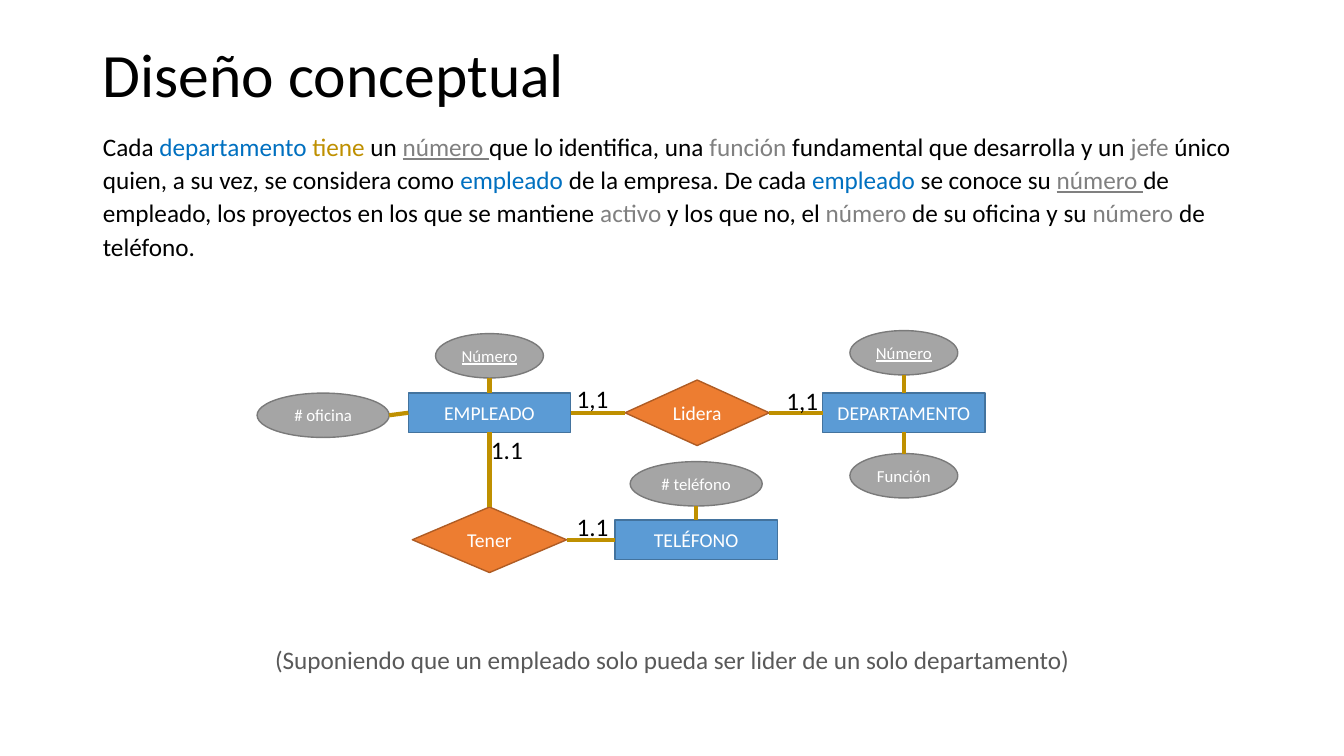
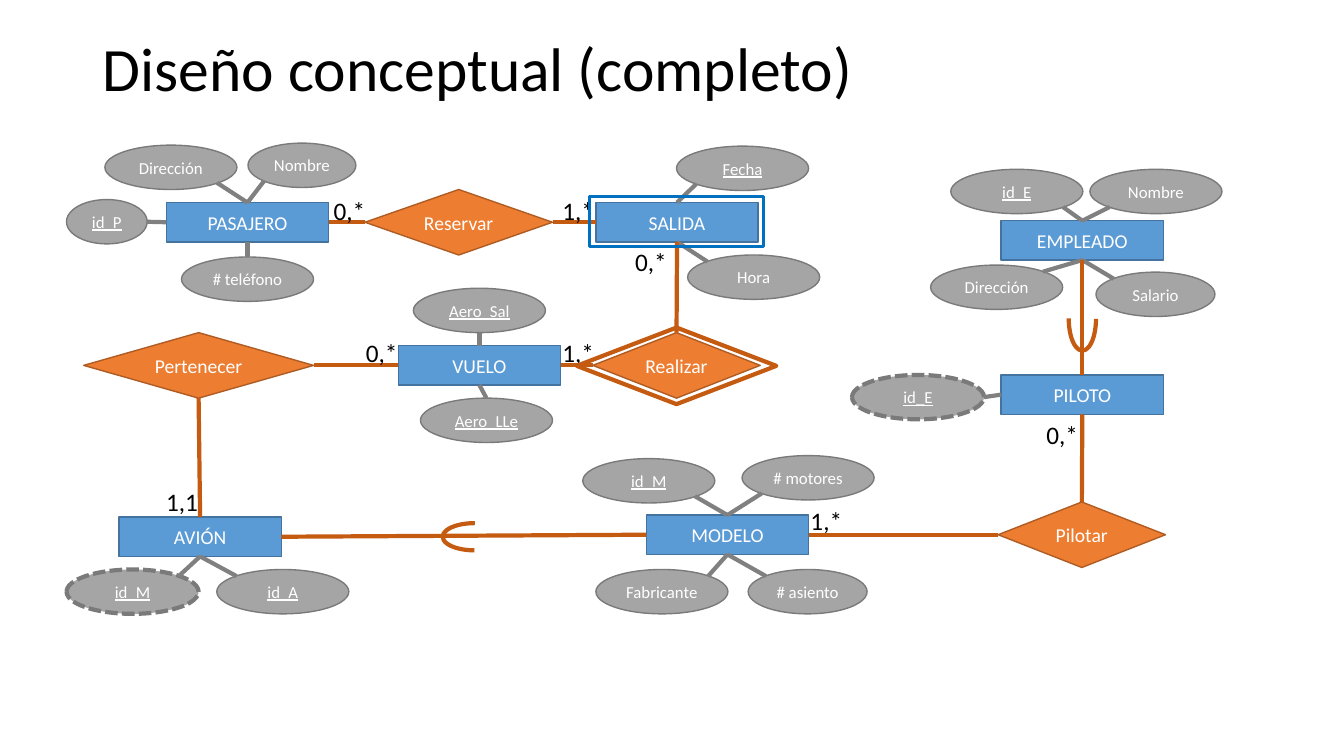
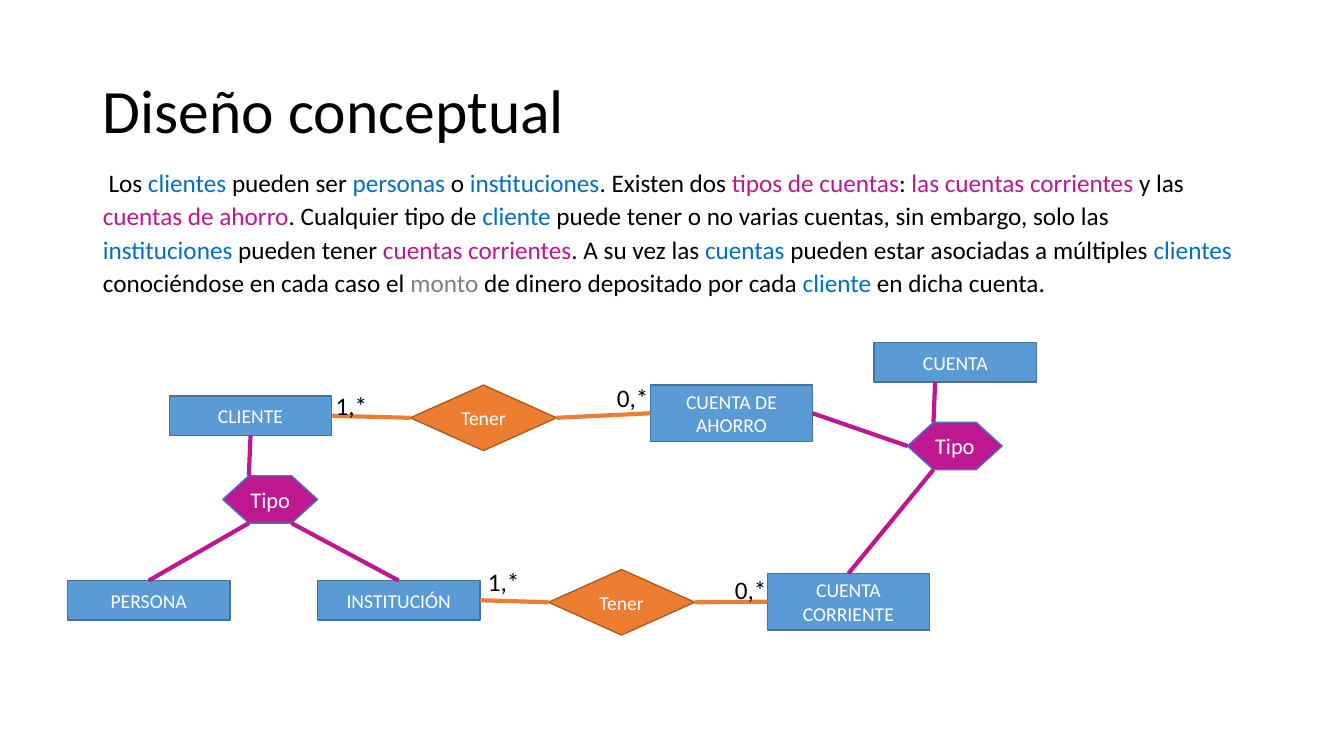
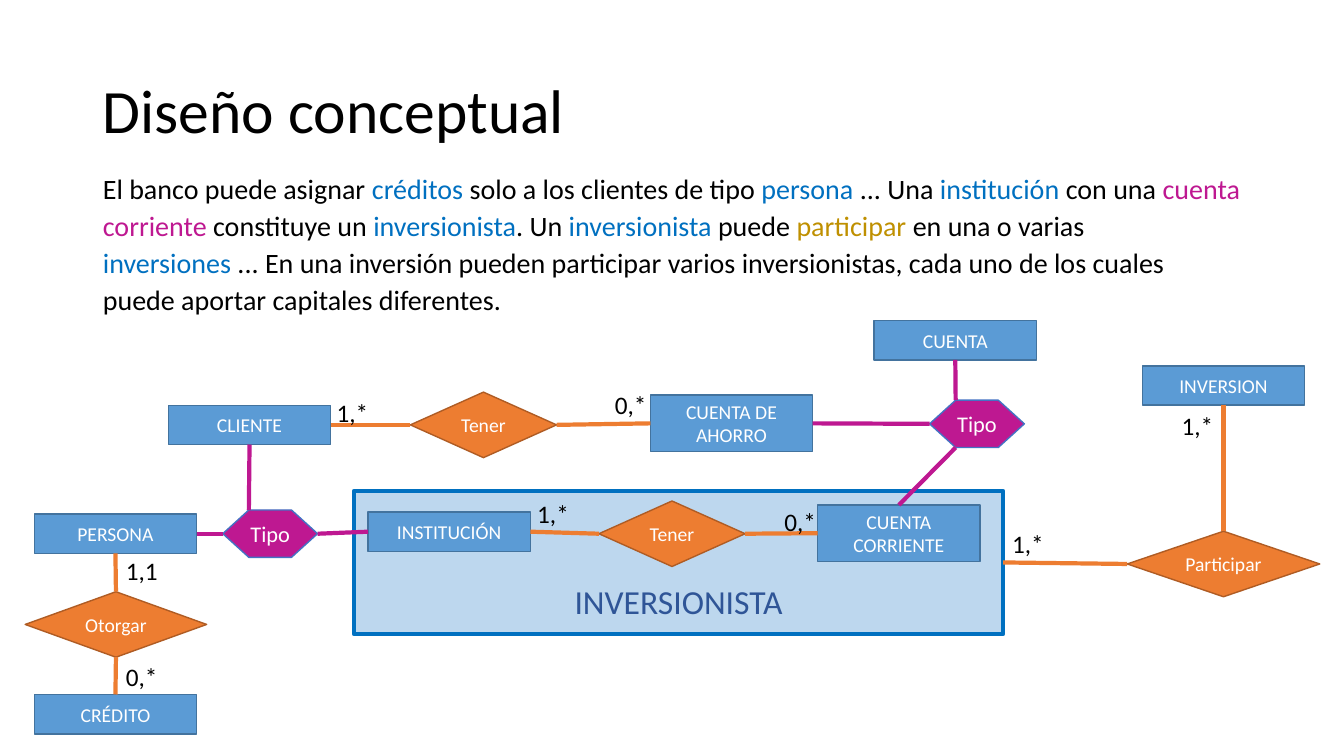
import dataclasses

import lxml.etree
import pptx
import pptx.dml.color
import pptx.enum.dml
import pptx.enum.shapes
import pptx.enum.text
import pptx.oxml.ns
import pptx.util

Inches = pptx.util.Inches
Pt = pptx.util.Pt
SHAPE = pptx.enum.shapes.MSO_SHAPE
ALIGN = pptx.enum.text.PP_ALIGN
SIZING = pptx.enum.text.MSO_AUTO_SIZE


@dataclasses.dataclass(frozen=True)
class Theme:
    font: str = "Calibri"
    ink: str = "000000"
    paper: str = "FFFFFF"
    caption: str = "595959"
    gray: str = "808080"
    gold: str = "BF9000"
    rust: str = "C55A11"
    orange: str = "ED7D31"
    orange_edge: str = "AF5C24"
    blue: str = "5B9BD5"
    blue_edge: str = "43739E"
    strong_blue: str = "0070C0"
    pale_blue: str = "BDD7EE"
    navy: str = "2F5597"
    silver: str = "A5A5A5"
    silver_edge: str = "7A7A7A"
    magenta: str = "BE1891"
    magenta_edge: str = "4472C4"
    title_size: int = 44
    group_size: int = 24
    large_size: int = 20
    body_size: int = 18
    kind_size: int = 16
    node_size: int = 14
    attribute_size: int = 12
    thin: float = 1
    medium: float = 2.25
    thick: float = 3


@dataclasses.dataclass(frozen=True)
class Box:
    left: float
    top: float
    width: float
    height: float

    def emu(self):
        return [Inches(value) for value in dataclasses.astuple(self)]


THEME = Theme()
ROLES = {
    "entity": {"color": THEME.strong_blue},
    "verb": {"color": THEME.gold},
    "attribute": {"color": THEME.gray},
    "key": {"color": THEME.gray, "underline": True},
    "type": {"color": THEME.magenta},
}
SIDES = {"top": (0.5, 0), "left": (0, 0.5), "bottom": (0.5, 1), "right": (1, 0.5)}
ENTITY_WIDTH = 1.61
ENTITY_HEIGHT = 0.39
TALL_HEIGHT = 0.56
RELATION_HEIGHT = 0.65
ATTRIBUTE_HEIGHT = 0.44
HEXAGON_CUT = 0.55
ELLIPSE_INSET = 0.15


def rgb(code):
    return pptx.dml.color.RGBColor.from_string(code)


def add_span(para, text, size, color, underline=None):
    span = para.add_run()
    span.text = text
    span.font.name = THEME.font
    span.font.size = Pt(size)
    span.font.color.rgb = rgb(color)
    span.font.underline = underline


def write(frame, text, size=THEME.body_size, color=THEME.ink, underline=None,
          align=ALIGN.LEFT, line_spacing=None, space_before=None):
    para = frame.paragraphs[0]
    para.alignment = align
    para.line_spacing = line_spacing
    para.space_before = None if space_before is None else Pt(space_before)
    for piece in text.split("{"):
        marked, closing, plain = piece.rpartition("}")
        if closing:
            role, words = marked.split("|")
            add_span(para, words, size, **ROLES[role])
        if plain:
            add_span(para, plain, size, color, underline)
    return para


def place(placeholder, box):
    placeholder.left, placeholder.top, placeholder.width, placeholder.height = box.emu()
    placeholder.text_frame.auto_size = SIZING.NONE
    placeholder.text_frame.word_wrap = True
    return placeholder.text_frame


def add_title(page, text, box):
    frame = place(page.shapes.title, box)
    frame.vertical_anchor = pptx.enum.text.MSO_ANCHOR.MIDDLE
    write(frame, text, size=THEME.title_size, line_spacing=0.9)


def add_body(page, text, box, size=THEME.body_size):
    frame = place(page.placeholders[1], box)
    para = write(frame, text, size=size, line_spacing=1.1, space_before=10)
    settings = para._p.get_or_add_pPr()
    settings.set("marL", "0")
    settings.set("indent", "0")
    lxml.etree.SubElement(settings, pptx.oxml.ns.qn("a:buNone"))


def anchor(shape, side):
    if side in SIDES:
        across, down = SIDES[side]
    else:
        vertical, horizontal = side.split("_")
        if shape.auto_shape_type == SHAPE.HEXAGON:
            inset_x, inset_y = HEXAGON_CUT * shape.height / shape.width, 0
        else:
            inset_x = inset_y = ELLIPSE_INSET
        across = inset_x if horizontal == "left" else 1 - inset_x
        down = inset_y if vertical == "top" else 1 - inset_y
    return int(shape.left + across * shape.width), int(shape.top + down * shape.height)


def can_join(shape, side):
    return side in SIDES and shape.auto_shape_type in (SHAPE.RECTANGLE, SHAPE.DIAMOND)


class Diagram:
    def __init__(self, page, box, relation_color, attribute_color=THEME.gray):
        self.page = page
        self.box = box
        self.relation_color = relation_color
        self.attribute_color = attribute_color

    def area(self, left, top, width, height):
        return Box(self.box.left + left, self.box.top + top, width, height).emu()

    def shape(self, preset, left, top, width, height, edge, fill=None, weight=THEME.thin):
        shape = self.page.shapes.add_shape(preset, *self.area(left, top, width, height))
        shape.shadow.inherit = False
        if fill:
            shape.fill.solid()
            shape.fill.fore_color.rgb = rgb(fill)
        else:
            shape.fill.background()
        shape.line.color.rgb = rgb(edge)
        shape.line.width = Pt(weight)
        return shape

    def node(self, preset, text, area, fill, edge, wrap=False, size=THEME.node_size,
             underline=None):
        shape = self.shape(preset, *area, edge, fill)
        shape.text_frame.word_wrap = wrap
        shape.text_frame.vertical_anchor = pptx.enum.text.MSO_ANCHOR.MIDDLE
        write(shape.text_frame, text, size=size, color=THEME.paper, underline=underline,
              align=ALIGN.CENTER)
        return shape

    def entity(self, text, left, top, height=ENTITY_HEIGHT):
        return self.node(SHAPE.RECTANGLE, text, (left, top, ENTITY_WIDTH, height),
                         THEME.blue, THEME.blue_edge, wrap=True)

    def relation(self, text, left, top, width=1.45):
        return self.node(SHAPE.DIAMOND, text, (left, top, width, RELATION_HEIGHT),
                         THEME.orange, THEME.orange_edge)

    def kind(self, left, top):
        shape = self.node(SHAPE.HEXAGON, "Tipo", (left, top, 0.94, 0.47),
                          THEME.magenta, THEME.magenta_edge, size=THEME.kind_size)
        shape.adjustments[0] = HEXAGON_CUT
        return shape

    def attribute(self, owner, text, left, top, owner_side, side, width=1.31,
                  key=False, dashed=False):
        shape = self.node(SHAPE.OVAL, text, (left, top, width, ATTRIBUTE_HEIGHT),
                          THEME.silver, THEME.silver_edge, size=THEME.attribute_size,
                          underline=key or None)
        if dashed:
            shape.line.width = Pt(THEME.thick)
            shape.line.dash_style = pptx.enum.dml.MSO_LINE.SQUARE_DOT
        self.link(owner, owner_side, shape, side, color=self.attribute_color)

    def link(self, start, start_side, end, end_side, color=None, shift=0):
        start_x, start_y = anchor(start, start_side)
        line = self.page.shapes.add_connector(
            pptx.enum.shapes.MSO_CONNECTOR.STRAIGHT,
            start_x + Inches(shift), start_y, *anchor(end, end_side))
        order = list(SIDES)
        if can_join(start, start_side) and not shift:
            line.begin_connect(start, order.index(start_side))
        if can_join(end, end_side):
            line.end_connect(end, order.index(end_side))
        line.line.color.rgb = rgb(color or self.relation_color)
        line.line.width = Pt(THEME.thick)
        lxml.etree.SubElement(line._element.spPr, pptx.oxml.ns.qn("a:effectLst"))

    def arc(self, left, top, rotation):
        shape = self.shape(SHAPE.ARC, left, top, 0.63, 0.27, self.relation_color,
                           weight=THEME.thick)
        shape.adjustments[0] = 162
        shape.adjustments[1] = 55.25
        shape.rotation = rotation

    def label(self, text, left, top, width=0.51, height=0.4, **style):
        label = self.page.shapes.add_textbox(*self.area(left, top, width, height))
        label.text_frame.word_wrap = False
        label.text_frame.margin_right = Inches(0.05)
        label.text_frame.auto_size = SIZING.SHAPE_TO_FIT_TEXT
        write(label.text_frame, text, **style)

    def labels(self, *entries):
        for entry in entries:
            self.label(*entry)


def draw_company(page, box):
    diagram = Diagram(page, box, THEME.gold, THEME.gold)
    department = diagram.entity("DEPARTAMENTO", 6.16, 0.9)
    employee = diagram.entity("EMPLEADO", 2.05, 0.9)
    phone = diagram.entity("TELÉFONO", 4.1, 2.16)
    leads = diagram.relation("Lidera", 4.2, 0.77, 1.43)
    has = diagram.relation("Tener", 2.09, 2.03, 1.53)
    diagram.attribute(department, "Número", 6.43, 0.28, "top", "bottom", 1.07, key=True)
    diagram.attribute(department, "Función", 6.43, 1.5, "bottom", "top", 1.07)
    diagram.attribute(employee, "Número", 2.32, 0.31, "top", "bottom", 1.07, key=True)
    diagram.attribute(employee, "# oficina", 0.55, 0.9, "left", "right")
    diagram.attribute(phone, "# teléfono", 4.25, 1.58, "top", "bottom")
    diagram.link(employee, "right", leads, "left")
    diagram.link(leads, "right", department, "left")
    diagram.link(employee, "bottom", has, "top")
    diagram.link(has, "right", phone, "left")
    diagram.labels(("1,1", 3.62, 0.75), ("1,1", 5.7, 0.77),
                   ("1.1", 2.77, 1.26), ("1.1", 3.62, 2.02))
    diagram.label("(Suponiendo que un empleado solo pueda ser lider de un solo departamento)",
                  0.13, 3.34, 9.03, color=THEME.caption, align=ALIGN.CENTER)


def draw_airline(page, box):
    diagram = Diagram(page, box, THEME.rust)
    flight = diagram.entity("VUELO", 3.95, 2.43)
    passenger = diagram.entity("PASAJERO", 1.65, 1.01)
    departure = diagram.entity("SALIDA", 5.91, 1.01)
    model = diagram.entity("MODELO", 6.41, 4.11)
    employee = diagram.entity("EMPLEADO", 9.93, 1.19)
    pilot = diagram.entity("PILOTO", 9.93, 2.72)
    plane = diagram.entity("AVIÓN", 1.18, 4.13)

    diagram.attribute(flight, "Aero_Sal", 4.1, 1.86, "top", "bottom", key=True)
    diagram.attribute(flight, "Aero_LLe", 4.17, 2.95, "bottom", "top", key=True)
    diagram.attribute(passenger, "Nombre", 2.46, 0.42, "top", "bottom_left", 1.07)
    diagram.attribute(passenger, "Dirección", 1.04, 0.44, "top", "bottom_right")
    diagram.attribute(passenger, "# teléfono", 1.8, 1.55, "bottom", "top")
    diagram.attribute(passenger, "id_P", 0.66, 0.98, "left", "right", 0.8, key=True)
    diagram.attribute(departure, "Fecha", 6.71, 0.45, "top", "bottom_left", key=True)
    diagram.attribute(departure, "Hora", 6.82, 1.53, "bottom", "top_left")
    diagram.attribute(model, "id_M", 5.78, 3.55, "top", "bottom_right", key=True)
    diagram.attribute(model, "# motores", 7.36, 3.52, "top", "bottom_left")
    diagram.attribute(model, "Fabricante", 5.91, 4.65, "bottom", "top_right")
    diagram.attribute(model, "# asiento", 7.42, 4.65, "bottom", "top_left", 1.18)
    diagram.attribute(employee, "id_E", 9.43, 0.68, "top", "bottom_right", key=True)
    diagram.attribute(employee, "Nombre", 10.81, 0.68, "top", "bottom_left")
    diagram.attribute(employee, "Dirección", 9.23, 1.63, "bottom", "top_right")
    diagram.attribute(employee, "Salario", 10.87, 1.7, "bottom", "top_left", 1.18)
    diagram.attribute(pilot, "id_E", 8.45, 2.72, "left", "right", key=True, dashed=True)
    diagram.attribute(plane, "id_A", 2.15, 4.65, "bottom", "top_left", key=True)
    diagram.attribute(plane, "id_M", 0.66, 4.65, "bottom", "top_right", key=True, dashed=True)

    books = diagram.relation("Reservar", 3.62, 0.88, 1.86)
    performs = diagram.relation("Realizar", 5.88, 2.3, 1.66)
    flies = diagram.relation("Pilotar", 9.9, 3.98, 1.66)
    belongs = diagram.relation("Pertenecer", 0.83, 2.3, 2.28)
    for start, start_side, end, end_side in (
        (books, "left", passenger, "right"),
        (books, "right", departure, "left"),
        (departure, "bottom", performs, "top"),
        (performs, "left", flight, "right"),
        (employee, "bottom", pilot, "top"),
        (pilot, "bottom", flies, "top"),
        (model, "right", flies, "left"),
        (model, "left", plane, "right"),
        (plane, "top", belongs, "bottom"),
        (flight, "left", belongs, "right"),
    ):
        diagram.link(start, start_side, end, end_side)
    diagram.arc(10.42, 2.03, 90)
    diagram.arc(4.39, 4.19, 180)
    diagram.labels(("0,*", 3.21, 0.89), ("1,*", 5.48, 0.89), ("0,*", 6.2, 1.39),
                   ("1,*", 5.48, 2.3), ("0,*", 3.53, 2.3), ("1,1", 1.55, 3.78),
                   ("1,*", 7.94, 3.96), ("0,*", 10.28, 3.11))
    diagram.shape(SHAPE.RECTANGLE, 5.85, 0.95, 1.72, 0.5, THEME.strong_blue,
                  weight=THEME.medium)
    diagram.shape(SHAPE.DIAMOND, 5.72, 2.25, 1.98, 0.76, THEME.rust, weight=THEME.thick)


def draw_accounts(diagram, client, person, institution, current, savings, account,
                  client_kind, account_kind, savings_has, current_has,
                  person_sides, institution_sides, account_shift=0):
    client = diagram.entity("CLIENTE", *client)
    person = diagram.entity("PERSONA", *person)
    institution = diagram.entity("INSTITUCIÓN", *institution)
    current = diagram.entity("CUENTA CORRIENTE", *current, TALL_HEIGHT)
    savings = diagram.entity("CUENTA DE AHORRO", *savings, TALL_HEIGHT)
    account = diagram.entity("CUENTA", *account)
    client_kind = diagram.kind(*client_kind)
    account_kind = diagram.kind(*account_kind)
    savings_has = diagram.relation("Tener", *savings_has)
    current_has = diagram.relation("Tener", *current_has)

    for start, start_side, end, end_side in (
        (client, "bottom", client_kind, "top_left"),
        (person, person_sides[0], client_kind, person_sides[1]),
        (institution, institution_sides[0], client_kind, institution_sides[1]),
        (current, "top", account_kind, "bottom_left"),
        (savings, "right", account_kind, "left"),
    ):
        diagram.link(start, start_side, end, end_side, color=THEME.magenta)
    diagram.link(account, "bottom", account_kind, "top_left", color=THEME.magenta,
                 shift=account_shift)
    for owner, relation, owned in ((client, savings_has, savings),
                                   (institution, current_has, current)):
        diagram.link(relation, "left", owner, "right")
        diagram.link(owned, "left", relation, "right")
    return person


def draw_bank(page, box):
    diagram = Diagram(page, box, THEME.orange)
    draw_accounts(
        diagram, client=(1.68, 0.93), person=(0.67, 2.76), institution=(3.15, 2.76),
        current=(7.61, 2.69), savings=(6.45, 0.82), account=(8.67, 0.4),
        client_kind=(2.21, 1.72), account_kind=(9, 1.19),
        savings_has=(4.07, 0.82), current_has=(5.44, 2.65),
        person_sides=("top", "bottom_left"), institution_sides=("top", "bottom_right"),
        account_shift=-0.2)
    diagram.labels(("0,*", 7.19, 2.65), ("1,*", 4.74, 2.57),
                   ("1,*", 3.23, 0.82), ("0,*", 6.02, 0.74))


def draw_investors(page, box):
    diagram = Diagram(page, box, THEME.orange)
    investor = diagram.shape(SHAPE.RECTANGLE, 3.51, 1.87, 6.44, 1.42, THEME.strong_blue,
                             THEME.pale_blue, THEME.thick)
    person = draw_accounts(
        diagram, client=(1.67, 1.02), person=(0.34, 2.1), institution=(3.65, 2.08),
        current=(8.11, 2.01), savings=(6.45, 0.92), account=(8.67, 0.18),
        client_kind=(2.21, 2.06), account_kind=(9.22, 0.97),
        savings_has=(4.07, 0.89), current_has=(5.94, 1.97),
        person_sides=("right", "left"), institution_sides=("left", "right"))
    investment = diagram.entity("INVERSION", 11.33, 0.63)
    credit = diagram.entity("CRÉDITO", 0.34, 3.89)
    takes_part = diagram.relation("Participar", 11.18, 2.27, 1.91)
    grants = diagram.relation("Otorgar", 0.25, 2.87, 1.8)
    diagram.link(takes_part, "left", investor, "right")
    diagram.link(takes_part, "top", investment, "bottom")
    diagram.link(grants, "top", person, "bottom")
    diagram.link(grants, "bottom", credit, "top")
    diagram.label("INVERSIONISTA", 5.6, 2.71, 2.26, 0.5, size=THEME.group_size,
                  color=THEME.navy)
    diagram.labels(("0,*", 6, 0.81), ("0,*", 7.68, 1.97), ("1,*", 3.24, 0.89),
                   ("1,*", 5.23, 1.89), ("1,*", 11.62, 1.02), ("1,*", 9.94, 2.19),
                   ("0,*", 1.15, 3.51), ("1,1", 1.15, 2.46))


COMPANY_TEXT = (
    "Cada {entity|departamento }{verb|tiene }un {key|número }que lo identifica, una "
    "{attribute|función }fundamental que desarrolla y un {attribute|jefe }único quien, "
    "a su vez, se considera como {entity|empleado }de la empresa. De cada "
    "{entity|empleado }se conoce su {key|número }de empleado, los proyectos en los que "
    "se mantiene {attribute|activo }y los que no, el {attribute|número }de su oficina "
    "y su {attribute|número }de teléfono."
)
BANK_TEXT = (
    " Los {entity|clientes }pueden ser {entity|personas }o {entity|instituciones}. "
    "Existen dos {type|tipos de cuentas}: {type|las cuentas corrientes} y las "
    "{type|cuentas de ahorro}. Cualquier tipo de {entity|cliente }puede tener o no "
    "varias cuentas, sin embargo, solo las {entity|instituciones }pueden tener "
    "{type|cuentas corrientes}. A su vez las {entity|cuentas }pueden estar asociadas a "
    "múltiples {entity|clientes }conociéndose en cada caso el {attribute|monto }de "
    "dinero depositado por cada {entity|cliente }en dicha cuenta."
)
INVESTORS_TEXT = (
    "El banco puede asignar {entity|créditos }solo a los clientes de tipo "
    "{entity|persona} ... Una {entity|institución }con una {type|cuenta corriente} "
    "constituye un {entity|inversionista}. Un {entity|inversionista }puede "
    "{verb|participar }en una o varias {entity|inversiones} ... En una inversión pueden "
    "participar varios inversionistas, cada uno de los cuales puede aportar capitales "
    "diferentes."
)


def add_page(deck, title, title_box, draw, diagram_box, body=None, body_box=None,
             body_size=THEME.body_size):
    layout_name = "Title and Content" if body else "Title Only"
    page = deck.slides.add_slide(deck.slide_layouts.get_by_name(layout_name))
    add_title(page, title, title_box)
    if body:
        add_body(page, body, body_box, body_size)
    draw(page, diagram_box)


def main():
    deck = pptx.Presentation()
    deck.slide_width = Inches(13.33)
    deck.slide_height = Inches(7.5)
    title = "Diseño conceptual"
    low_title = Box(0.92, 0.4, 11.5, 1.45)
    lower_part = Box(0, 3, 13.33, 4.5)
    add_page(deck, title, Box(0.92, 0.32, 11.5, 0.9), draw_company, Box(2, 3, 9.33, 4),
             COMPANY_TEXT, Box(0.92, 1.22, 11.5, 1.65))
    add_page(deck, title + " (completo)", Box(0.92, 0.21, 11.5, 1.01), draw_airline,
             Box(0, 1, 13.33, 6))
    add_page(deck, title, low_title, draw_bank, lower_part,
             BANK_TEXT, Box(0.92, 1.58, 11.5, 1.57))
    add_page(deck, title, low_title, draw_investors, lower_part,
             INVESTORS_TEXT, Box(0.92, 1.62, 11.5, 1.8), THEME.large_size)
    deck.save("out.pptx")


if __name__ == "__main__":
    main()
